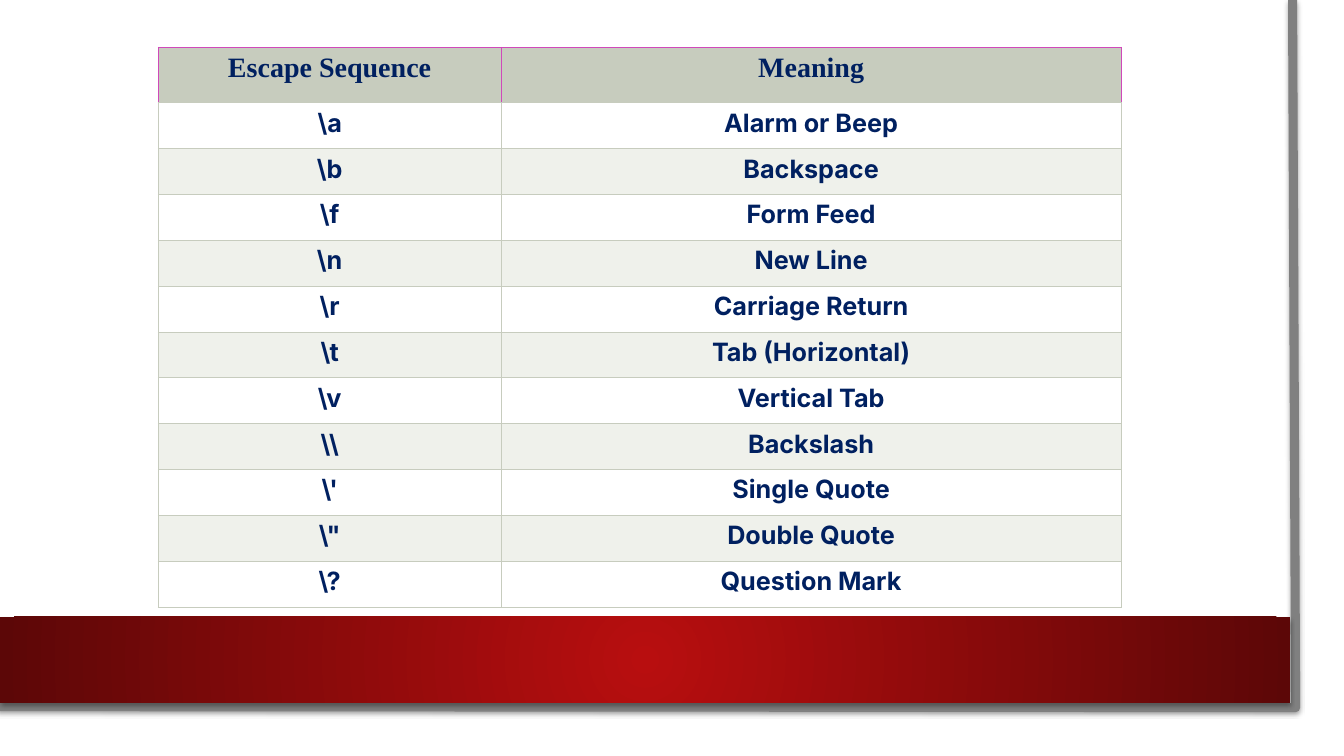
from lxml import etree
from pptx import Presentation
from pptx.dml.color import RGBColor
from pptx.enum.shapes import MSO_SHAPE
from pptx.enum.text import PP_ALIGN
from pptx.oxml import parse_xml
from pptx.oxml.ns import nsdecls, qn
from pptx.util import Inches, Pt

RECTANGLE = MSO_SHAPE.RECTANGLE
CENTER = PP_ALIGN.CENTER
BLANK_LAYOUT = 6

HEADER = ("Escape Sequence", "Meaning")
ESCAPES = [
    (r"\a", "Alarm or Beep"),
    (r"\b", "Backspace"),
    (r"\f", "Form Feed"),
    (r"\n", "New Line"),
    (r"\r", "Carriage Return"),
    (r"\t", "Tab (Horizontal)"),
    (r"\v", "Vertical Tab"),
    (r"\\", "Backslash"),
    (r"\'", "Single Quote"),
    (r'\"', "Double Quote"),
    (r"\?", "Question Mark"),
]

NAVY, SAGE, PALE, WHITE, PINK = "002060", "C7CCBE", "EFF1EB", "FFFFFF", "D049BA"
EDGE_GRAY, RED, DARK_RED = "808080", "B80E0F", "5C0707"
HEADER_FONT = {"name": "Times New Roman", "size": Pt(20), "bold": True}
BODY_FONT = {"name": "Inter", "size": Pt(18), "bold": True}
HEADER_BORDERS = {"lnL": PINK, "lnR": PINK, "lnT": PINK, "lnB": SAGE}
BODY_BORDERS = dict.fromkeys(HEADER_BORDERS, SAGE)

TABLE_LEFT, TABLE_TOP = 1.57, 0.47
COLUMN_WIDTHS = (3.4, 6.15)
HEADER_HEIGHT, ROW_HEIGHT = 0.55, 0.455
PAGE_EDGE = [(12.82, 0), (12.85, 7.02), (-0.03, 7.01)]


def color(value):
    return RGBColor.from_string(value)


def set_format(target, values):
    for name, value in values.items():
        setattr(target, name, value)


def add_shadow(shape, alpha, blur, distance):
    """Give the shape a black shadow that falls straight down."""
    shape.shadow.inherit = False
    effects = shape._element.spPr.find(qn("a:effectLst"))
    effects.append(parse_xml(
        f'<a:outerShdw {nsdecls("a")} blurRad="{Pt(blur)}" dist="{Pt(distance)}" '
        f'dir="5400000" rotWithShape="0"><a:srgbClr val="000000">'
        f'<a:alpha val="{alpha * 1000}"/></a:srgbClr></a:outerShdw>'))


def add_page_edge(page):
    points = [(Inches(x), Inches(y)) for x, y in PAGE_EDGE]
    builder = page.shapes.build_freeform(*points[0])
    builder.add_line_segments(points[1:], close=False)
    edge = builder.convert_to_shape()
    edge.fill.background()
    edge.line.color.rgb = color(EDGE_GRAY)
    edge.line.width = Pt(6.5)
    add_shadow(edge, 38, 3.1, 1.6)


def add_red_band(page):
    band = page.shapes.add_shape(
        RECTANGLE, Inches(-0.03), Inches(6.12), Inches(12.83), Inches(0.85))
    band.left, band.width = Inches(0), Inches(12.8)
    band.line.fill.background()
    band.fill.gradient()
    for stop, value in zip(band.fill.gradient_stops, (RED, DARK_RED)):
        stop.color.rgb = color(value)
    gradient = band._element.spPr.find(qn("a:gradFill"))
    gradient.remove(gradient.find(qn("a:lin")))
    radial = etree.SubElement(gradient, qn("a:path"), {"path": "circle"})
    etree.SubElement(radial, qn("a:fillToRect"),
                     dict.fromkeys("ltrb", "50000"))
    add_shadow(band, 35, 3.1, 1.8)


def fill_cell(cell, text, font, fill, borders, side_margin):
    set_format(cell, {"margin_left": Inches(side_margin),
                      "margin_right": Inches(side_margin),
                      "margin_top": Inches(0.05), "margin_bottom": Inches(0.05)})
    para = cell.text_frame.paragraphs[0]
    para.alignment = CENTER
    span = para.add_run()
    span.text = text
    set_format(span.font, font)
    span.font.color.rgb = color(NAVY)
    properties = cell._tc.get_or_add_tcPr()
    for side, value in borders.items():
        properties.append(parse_xml(
            f'<a:{side} {nsdecls("a")} w="{Pt(0.75)}"><a:solidFill>'
            f'<a:srgbClr val="{value}"/></a:solidFill></a:{side}>'))
    cell.fill.solid()
    cell.fill.fore_color.rgb = color(fill)


def add_escape_table(page):
    heights = [HEADER_HEIGHT] + [ROW_HEIGHT] * len(ESCAPES)
    table = page.shapes.add_table(
        len(heights), len(COLUMN_WIDTHS), Inches(TABLE_LEFT), Inches(TABLE_TOP),
        Inches(sum(COLUMN_WIDTHS)), Inches(sum(heights))).table
    table.horz_banding = False
    for column, width in zip(table.columns, COLUMN_WIDTHS):
        column.width = Inches(width)
    for row, height in zip(table.rows, heights):
        row.height = Inches(height)
    for index, texts in enumerate([HEADER] + ESCAPES):
        if index == 0:
            style = (HEADER_FONT, SAGE, HEADER_BORDERS, 0.08)
        else:
            style = (BODY_FONT, WHITE if index % 2 else PALE, BODY_BORDERS, 0.05)
        for cell, text in zip(table.rows[index].cells, texts):
            fill_cell(cell, text, *style)


def main():
    deck = Presentation()
    deck.slide_width, deck.slide_height = Inches(13.33), Inches(7.5)
    page = deck.slides.add_slide(deck.slide_layouts[BLANK_LAYOUT])
    add_page_edge(page)
    add_red_band(page)
    add_escape_table(page)
    deck.save("out.pptx")


if __name__ == "__main__":
    main()
